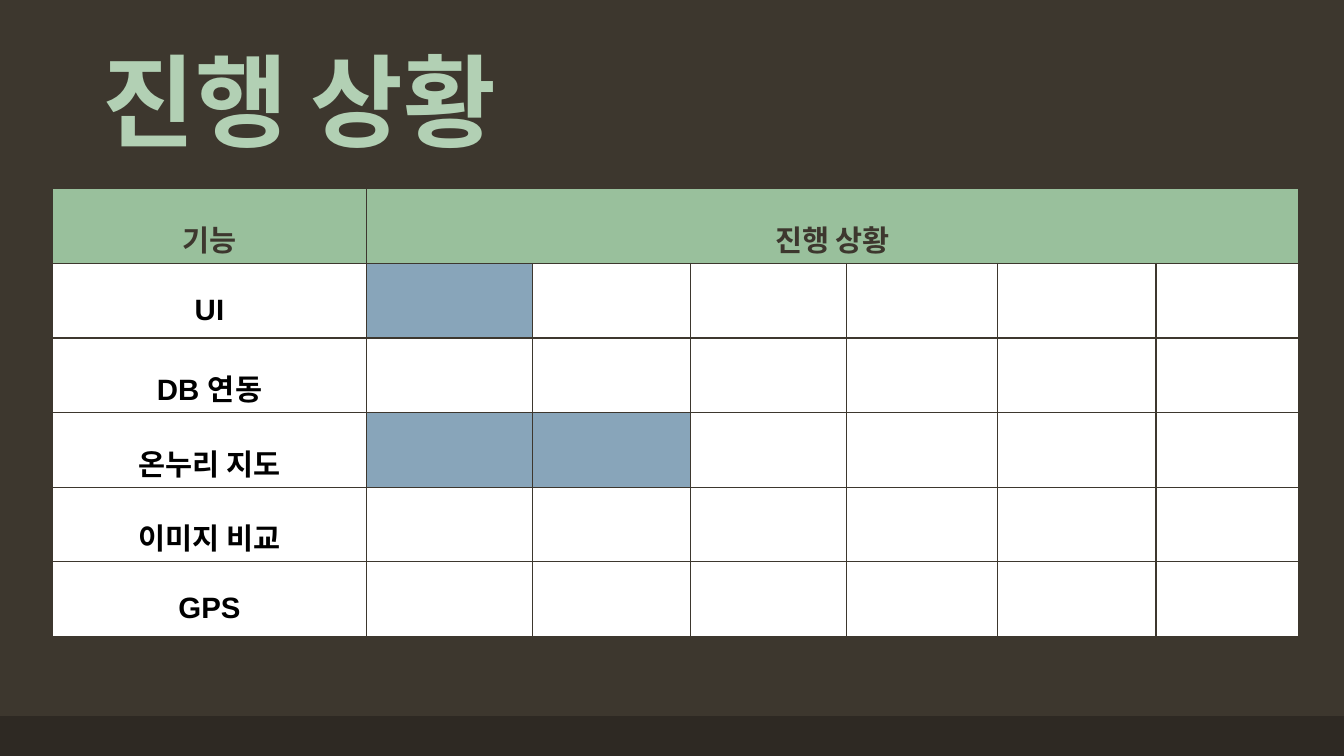
from lxml import etree
from pptx import Presentation, util as u
from pptx.dml.color import RGBColor
from pptx.enum import shapes, text
from pptx.oxml.ns import qn

PX = 9525
BROWN = RGBColor(0x3D, 0x37, 0x2E)
DARK = RGBColor(0x2E, 0x29, 0x23)
MINT = RGBColor(0xB2, 0xD0, 0xB4)
GREEN = RGBColor(0x99, 0xC0, 0x9C)
BLUE = RGBColor(0x88, 0xA5, 0xBA)
WHITE = RGBColor(0xFF, 0xFF, 0xFF)
BLACK = RGBColor(0, 0, 0)

COLS = [299, 158, 151, 148, 144, 151, 136]
ROWS = [72] + [71] * 5
TASKS = [("UI", 1), ("DB 연동", 0), ("온누리 지도", 2),
         ("이미지 비교", 0), ("GPS", 0)]


class Deck:
    """Draws styled elements on one slide."""

    def __init__(self, wide, high):
        self.prs = Presentation()
        self.prs.slide_width, self.prs.slide_height = wide * PX, high * PX
        self.slide = self.prs.slides.add_slide(self.prs.slide_layouts[6])
        self.face = {"name": "Arial", "bold": True}

    def back(self, tint):
        fill = self.slide.background.fill
        fill.solid()
        fill.fore_color.rgb = tint

    def bar(self, box, tint):
        bar = self.slide.shapes.add_shape(
            shapes.MSO_SHAPE.RECTANGLE, *[n * PX for n in box])
        bar.shadow.inherit = False
        bar.fill.solid()
        bar.fill.fore_color.rgb = tint
        bar.line.fill.background()

    def words(self, frame, words, size, tint, lead, align, track=0):
        para = frame.paragraphs[0]
        para.line_spacing, para.alignment = lead, align
        run = para.add_run()
        run.text = words
        for key, val in {**self.face, "size": u.Pt(size)}.items():
            setattr(run.font, key, val)
        run.font.color.rgb = tint
        if track:
            run._r.get_or_add_rPr().set("spc", str(track))

    def title(self, box, words):
        frame = self.slide.shapes.add_textbox(*[n * PX for n in box]).text_frame
        frame.word_wrap = True
        frame.vertical_anchor = text.MSO_ANCHOR.BOTTOM
        self.words(frame, words, 72, MINT, 0.9, text.PP_ALIGN.LEFT)

    def grid(self, left, top, cols, rows):
        table = self.slide.shapes.add_table(
            len(rows), len(cols), left * PX, top * PX,
            sum(cols) * PX, sum(rows) * PX).table
        for col, wide in zip(table.columns, cols):
            col.width = wide * PX
        for row, high in zip(table.rows, rows):
            row.height = high * PX
        return table

    def cell(self, cell, tint):
        cell.fill.solid()
        cell.fill.fore_color.rgb = tint
        props = cell._tc.get_or_add_tcPr()
        for spot, side in enumerate(("lnL", "lnR", "lnT", "lnB")):
            line = etree.Element(qn("a:" + side), w=str(u.Pt(1)))
            fill = etree.SubElement(line, qn("a:solidFill"))
            etree.SubElement(fill, qn("a:srgbClr"), val=str(BROWN))
            props.insert(spot, line)

    def label(self, cell, words, tint, track=0):
        style = {"margin_left": 7 * PX, "margin_right": 7 * PX,
                 "margin_top": 2 * PX, "margin_bottom": 2 * PX,
                 "vertical_anchor": text.MSO_ANCHOR.MIDDLE}
        for key, val in style.items():
            setattr(cell, key, val)
        self.words(cell.text_frame, words, 21, tint, 1.6,
                   text.PP_ALIGN.CENTER, track)


def main():
    deck = Deck(1280, 720)
    deck.back(BROWN)
    deck.bar((0, 682, 1280, 38), DARK)
    deck.title((88, 38, 1104, 120), "진행 상황")
    table = deck.grid(50, 179, COLS, ROWS)
    for col in range(len(COLS)):
        deck.cell(table.cell(0, col), GREEN)
    table.cell(0, 1).merge(table.cell(0, len(COLS) - 1))
    for col, words in enumerate(("기능", "진행 상황")):
        deck.label(table.cell(0, col), words, BROWN)
    for row, (name, done) in enumerate(TASKS, 1):
        for col in range(len(COLS)):
            deck.cell(table.cell(row, col), BLUE if 1 <= col <= done else WHITE)
        deck.label(table.cell(row, 0), name, BLACK, 10)
    deck.prs.save("out.pptx")


if __name__ == "__main__":
    main()
